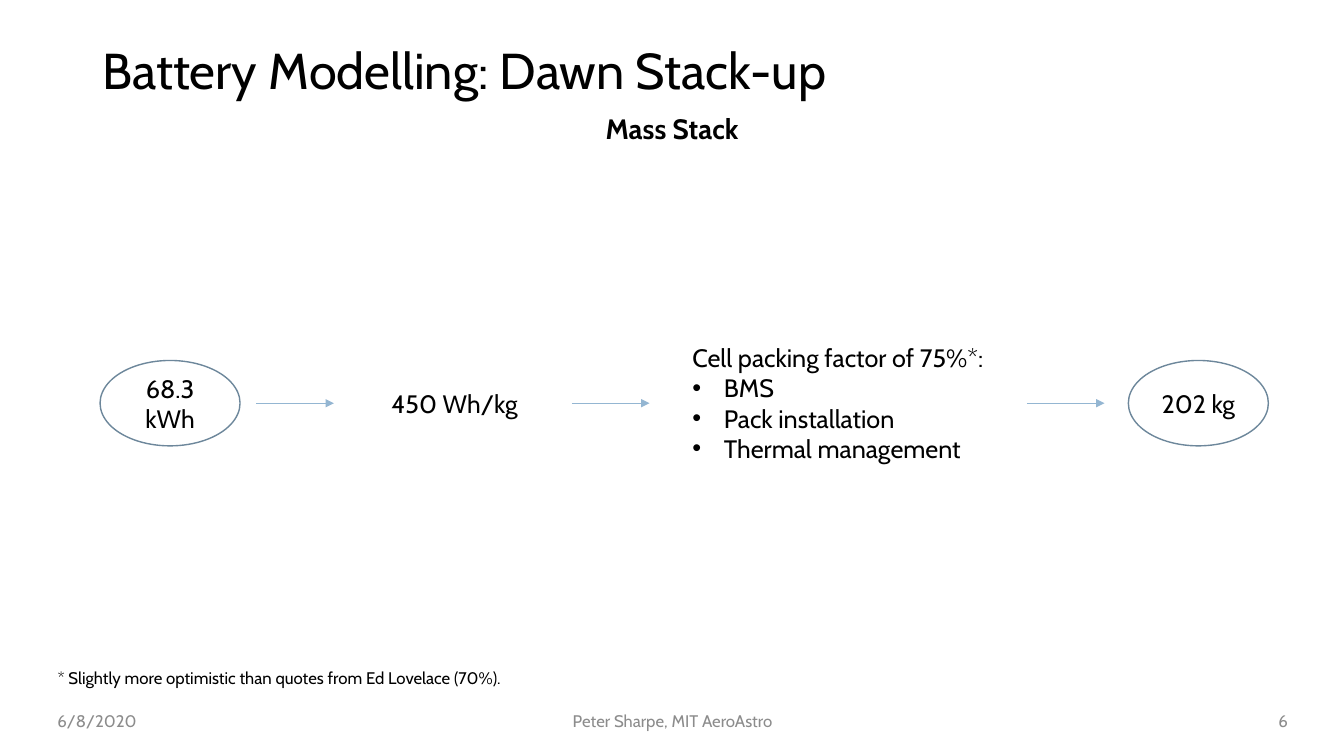
from lxml import etree
from pptx import Presentation
from pptx.dml.color import RGBColor
from pptx.enum import shapes, text
from pptx.oxml import ns
from pptx.util import Pt

FONT = "Cabin"
BLACK = RGBColor(0x00, 0x00, 0x00)
GRAY = RGBColor(0x8C, 0x8C, 0x8C)
OUTLINE = RGBColor(0x6D, 0x87, 0x9B)
ARROW = RGBColor(0x94, 0xB6, 0xD2)
LEFT, CENTER, RIGHT = text.PP_ALIGN.LEFT, text.PP_ALIGN.CENTER, text.PP_ALIGN.RIGHT
TOP, MIDDLE = text.MSO_ANCHOR.TOP, text.MSO_ANCHOR.MIDDLE


def write(paragraph, words, size, color=BLACK, align=LEFT, bold=False):
    """Add one formatted run to a paragraph."""
    paragraph.alignment = align
    run = paragraph.add_run()
    run.text = words
    run.font.name = FONT
    run.font.size = Pt(size)
    run.font.bold = bold
    run.font.color.rgb = color


def add_label(slide, box, words, size, color=BLACK, align=LEFT, anchor=TOP, bold=False):
    """Place a wrapping text box and return its text frame."""
    frame = slide.shapes.add_textbox(*map(Pt, box)).text_frame
    frame.word_wrap = True
    frame.vertical_anchor = anchor
    write(frame.paragraphs[0], words, size, color, align, bold)
    return frame


def add_bullet(frame, words):
    """Append a bulleted paragraph with a hanging indent."""
    paragraph = frame.add_paragraph()
    write(paragraph, words, 18)
    properties = paragraph._p.get_or_add_pPr()
    properties.set("marL", str(Pt(22.5)))
    properties.set("indent", str(Pt(-22.5)))
    etree.SubElement(properties, ns.qn("a:buFont"), typeface="Arial")
    etree.SubElement(properties, ns.qn("a:buChar"), char="•")


def add_oval(slide, box, words):
    """Draw an outlined ellipse holding a quantity."""
    oval = slide.shapes.add_shape(shapes.MSO_SHAPE.OVAL, *map(Pt, box))
    oval.shadow.inherit = False
    oval.fill.background()
    oval.line.color.rgb = OUTLINE
    oval.line.width = Pt(1)
    oval.text_frame.word_wrap = True
    oval.text_frame.vertical_anchor = MIDDLE
    write(oval.text_frame.paragraphs[0], words, 18, align=CENTER)


def add_arrow(slide, left, y, length):
    """Draw a thin horizontal arrow pointing right."""
    arrow = slide.shapes.add_connector(
        shapes.MSO_CONNECTOR.STRAIGHT, Pt(left), Pt(y), Pt(left + length), Pt(y))
    arrow.line.color.rgb = ARROW
    arrow.line.width = Pt(0.5)
    etree.SubElement(arrow.line._get_or_add_ln(), ns.qn("a:tailEnd"), type="triangle")
    etree.SubElement(arrow._element.spPr, ns.qn("a:effectLst"))


def add_heading(slide, box):
    """Format the title placeholder and add the subtitle beneath it."""
    left, top, width, height = box
    title = slide.shapes.title
    title.left, title.top, title.width, title.height = map(Pt, box)
    title.text_frame.vertical_anchor = MIDDLE
    title.text_frame.paragraphs[0].line_spacing = 0.9
    write(title.text_frame.paragraphs[0], "Battery Modelling: Dawn Stack-up", 36)
    add_label(slide, (left + 229, top + height, 370, 31.5), "Mass Stack", 20,
              align=CENTER, bold=True)


def add_mass_flow(slide, box):
    """Lay out the chain from stored energy to battery mass."""
    left, top, width, height = box
    middle = top + height / 2
    oval_width, oval_height = 100, 61
    oval_top = middle - oval_height / 2
    add_oval(slide, (left, oval_top, oval_width, oval_height), "68.3 kWh")
    add_label(slide, (left + 201, middle - 14.5, 106, 29), "450 Wh/kg", 18)
    packing = add_label(slide, (left + 416, top, 274, height),
                        "Cell packing factor of 75%*:", 18)
    for item in ("BMS", "Pack installation", "Thermal management"):
        add_bullet(packing, item)
    add_oval(slide, (left + width - oval_width, oval_top, oval_width, oval_height), "202 kg")
    for offset in (111.5, 337, 662):
        add_arrow(slide, left + offset, middle, 55.5)


def add_footer(slide, box):
    """Place the footnote above the date, author and slide number."""
    left, top, width, height = box
    add_label(slide, (left, top - 27, 602, 22),
              "* Slightly more optimistic than quotes from Ed Lovelace (70%).", 12)
    side, center = 94.5, 684
    for offset, part_width, words, align in (
            (0, side, "6/8/2020", LEFT),
            ((width - center) / 2, center, "Peter Sharpe, MIT AeroAstro", CENTER),
            (width - side, side, "6", RIGHT)):
        add_label(slide, (left + offset, top, part_width, height), words, 12,
                  GRAY, align, MIDDLE)


def main():
    """Build and save the slide."""
    presentation = Presentation()
    presentation.slide_width, presentation.slide_height = Pt(960), Pt(540)
    slide = presentation.slides.add_slide(presentation.slide_layouts[5])
    add_heading(slide, (66, 29, 828, 47))
    add_mass_flow(slide, (71.5, 241, 834.5, 94))
    add_footer(slide, (34, 500.5, 893, 29))
    presentation.save("out.pptx")


if __name__ == "__main__":
    main()
